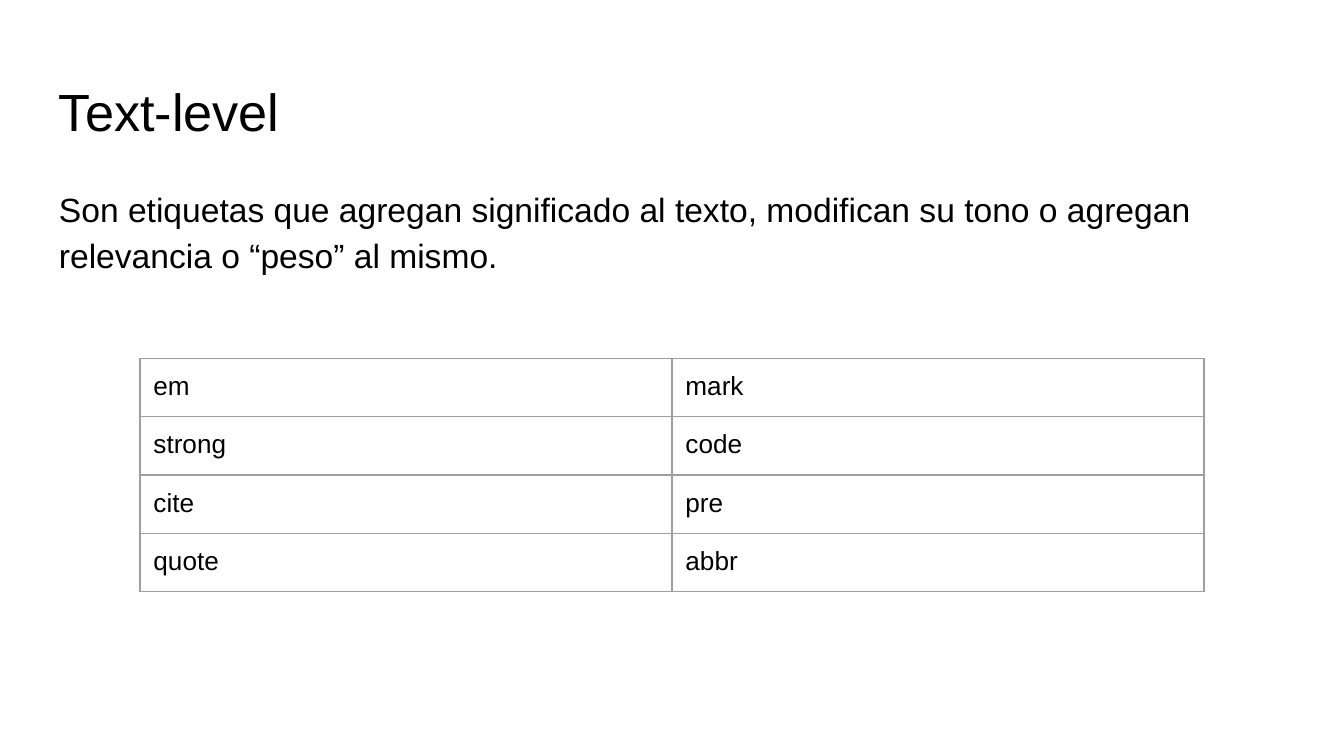
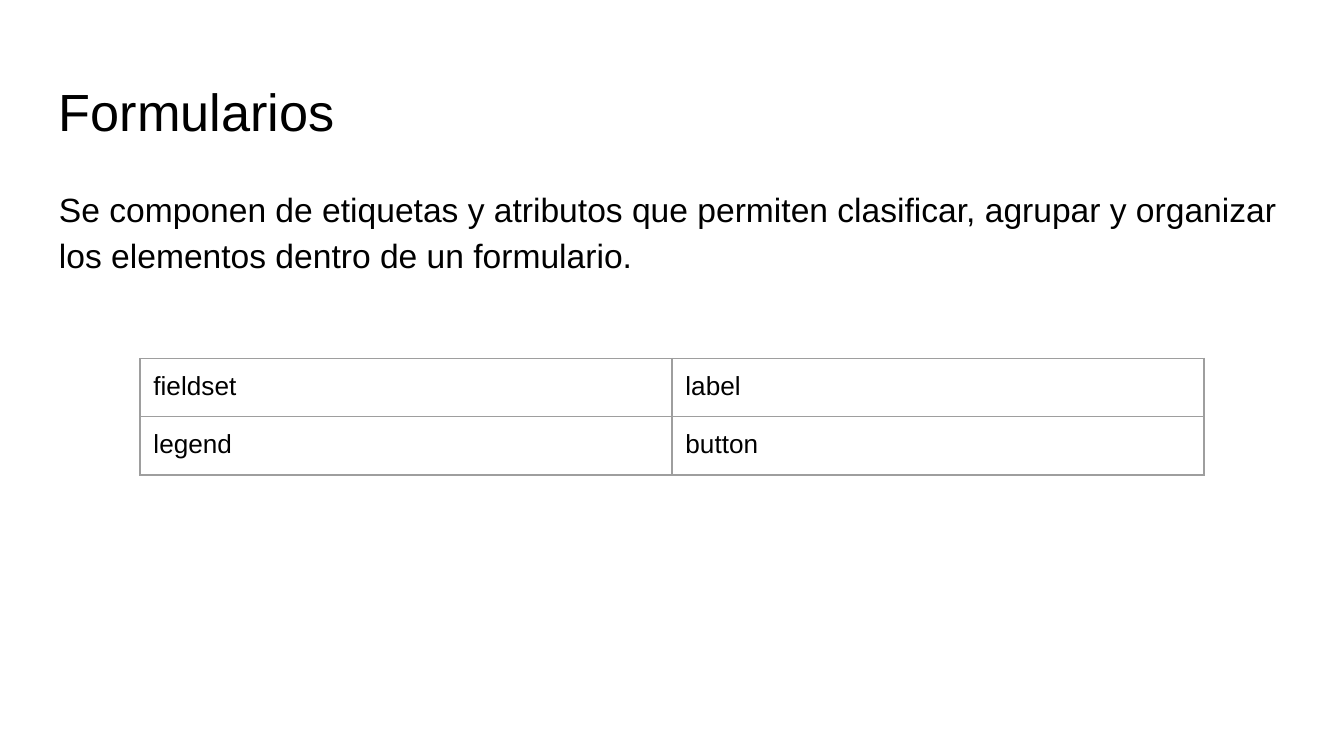
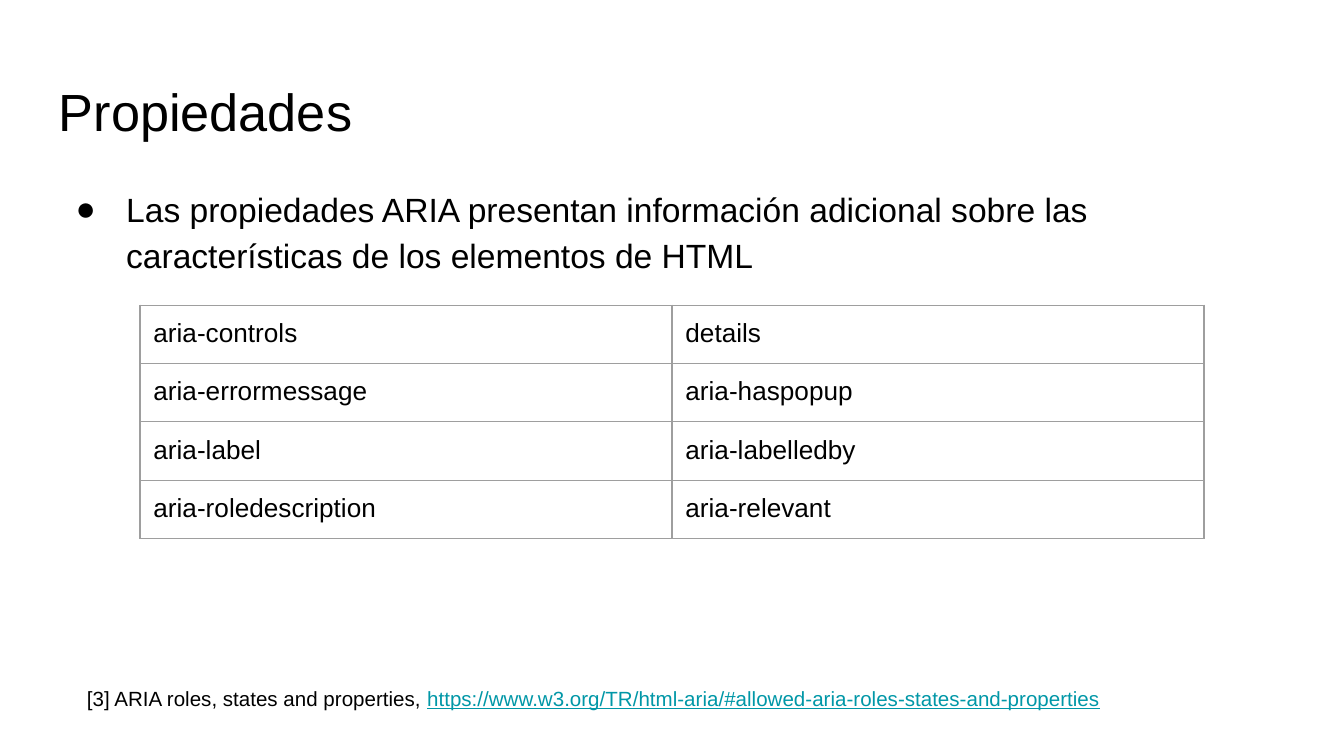
from dataclasses import dataclass

from pptx import Presentation
from pptx.dml.color import RGBColor
from pptx.enum.text import MSO_ANCHOR
from pptx.oxml.ns import qn
from pptx.util import Pt
from lxml.etree import SubElement, Element


@dataclass(frozen=True)
class Theme:
    """Colours, type sizes and measures that the slides share."""

    font: str = "Arial"
    paper: str = "FFFFFF"
    ink: str = "000000"
    link: str = "0097A7"
    rule: str = "9E9E9E"
    title: int = 28
    body: int = 18
    cell: int = 14
    note: int = 11
    inset: float = 7.2
    lead: float = 1.15


THEME = Theme()


def add_run(para, text, size, color=THEME.ink, under=None):
    """Add one styled run to a paragraph."""
    run = para.add_run()
    run.text = text
    font = run.font
    font.name = THEME.font
    font.size = Pt(size)
    font.color.rgb = RGBColor.from_string(color)
    font.underline = under


def add_box(slide, left, top, width, height):
    """Add an empty wrapped text box and return its first paragraph."""
    frame = slide.shapes.add_textbox(Pt(left), Pt(top), Pt(width), Pt(height)).text_frame
    frame.word_wrap = True
    frame.vertical_anchor = MSO_ANCHOR.TOP
    frame.margin_left = frame.margin_right = Pt(THEME.inset)
    frame.margin_top = frame.margin_bottom = Pt(THEME.inset)
    return frame.paragraphs[0]


def add_bullet(para):
    """Give a paragraph a hanging round bullet."""
    props = para._p.get_or_add_pPr()
    props.set("marL", str(Pt(36)))
    props.set("indent", str(Pt(-27)))
    tint = SubElement(props, qn("a:buClr"))
    SubElement(tint, qn("a:srgbClr"), val=THEME.ink)
    SubElement(props, qn("a:buFont"), typeface=THEME.font)
    SubElement(props, qn("a:buChar"), char="●")


def add_page(deck, title, body, bullet=False):
    """Add a slide with its title and body text."""
    slide = deck.slides.add_slide(deck.slide_layouts[6])
    slide.background.fill.solid()
    slide.background.fill.fore_color.rgb = RGBColor.from_string(THEME.paper)
    add_run(add_box(slide, 24.5, 35, 671, 45.5), title, THEME.title)
    para = add_box(slide, 24.5, 90.75, 671, 269)
    add_run(para, body, THEME.body)
    if bullet:
        add_bullet(para)
    para.line_spacing = THEME.lead
    return slide


def add_edges(cell):
    """Draw a thin line on all four sides of a cell."""
    props = cell._tc.get_or_add_tcPr()
    for spot, side in enumerate("LRTB"):
        line = Element(qn(f"a:ln{side}"), w=str(Pt(0.75)))
        fill = SubElement(line, qn("a:solidFill"))
        SubElement(fill, qn("a:srgbClr"), val=THEME.rule)
        props.insert(spot, line)


def add_grid(slide, top, rows, wide=285, high=30.2):
    """Add a ruled table with equal columns and rows."""
    cols = len(rows[0])
    table = slide.shapes.add_table(
        len(rows), cols, Pt(75), Pt(top), Pt(wide * cols), Pt(high * len(rows))
    ).table
    table.first_row = table.horz_banding = False
    for col in table.columns:
        col.width = Pt(wide)
    for row, words in zip(table.rows, rows):
        row.height = Pt(high)
        for cell, word in zip(row.cells, words):
            cell.margin_left = cell.margin_right = Pt(THEME.inset)
            cell.margin_top = cell.margin_bottom = Pt(THEME.inset)
            cell.fill.background()
            add_edges(cell)
            add_run(cell.text_frame.paragraphs[0], word, THEME.cell)


def add_note(slide, mark, name, link):
    """Add the source note at the foot of a slide."""
    para = add_box(slide, 39.5, 360.75, 564, 42.5)
    add_run(para, mark, THEME.note)
    add_run(para, name, THEME.note)
    add_run(para, link, THEME.note, THEME.link, True)


def main():
    """Build and save the three slides."""
    deck = Presentation()
    deck.slide_width, deck.slide_height = Pt(720), Pt(405)

    text = add_page(
        deck,
        "Text-level",
        "Son etiquetas que agregan significado al texto, modifican su tono "
        "o agregan relevancia o “peso” al mismo.",
    )
    add_grid(text, 192, [
        ("em", "mark"),
        ("strong", "code"),
        ("cite", "pre"),
        ("quote", "abbr"),
    ])

    form = add_page(
        deck,
        "Formularios",
        "Se componen de etiquetas y atributos que permiten clasificar, agrupar "
        "y organizar los elementos dentro de un formulario.",
    )
    add_grid(form, 192, [("fieldset", "label"), ("legend", "button")])

    aria = add_page(
        deck,
        "Propiedades",
        "Las propiedades ARIA presentan información adicional sobre las "
        "características de los elementos de HTML",
        bullet=True,
    )
    add_note(
        aria,
        "[3] ",
        "ARIA roles, states and properties, ",
        "https://www.w3.org/TR/html-aria/#allowed-aria-roles-states-and-properties",
    )
    add_grid(aria, 163.5, [
        ("aria-controls", "details"),
        ("aria-errormessage", "aria-haspopup"),
        ("aria-label", "aria-labelledby"),
        ("aria-roledescription", "aria-relevant"),
    ])

    deck.save("out.pptx")


if __name__ == "__main__":
    main()
